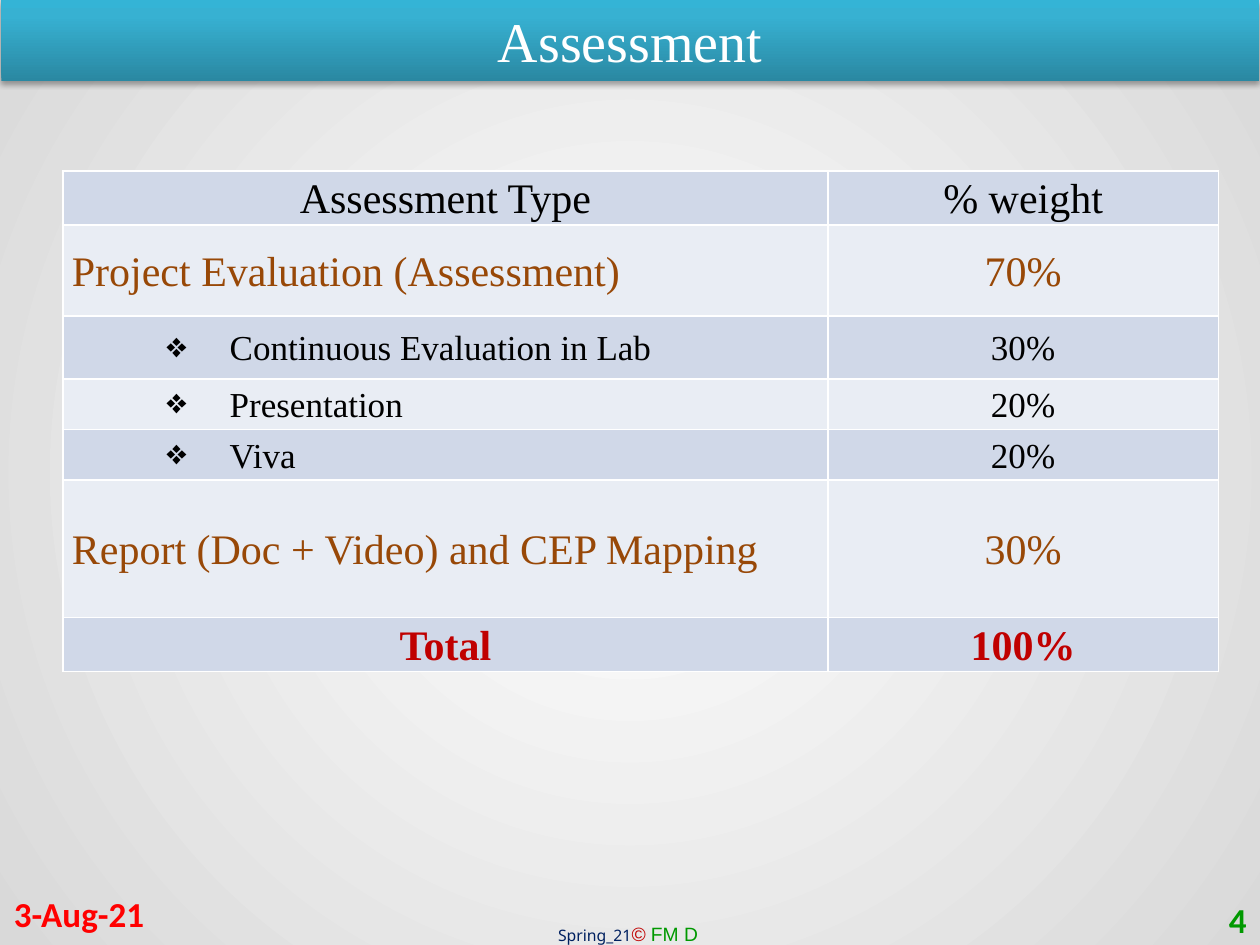
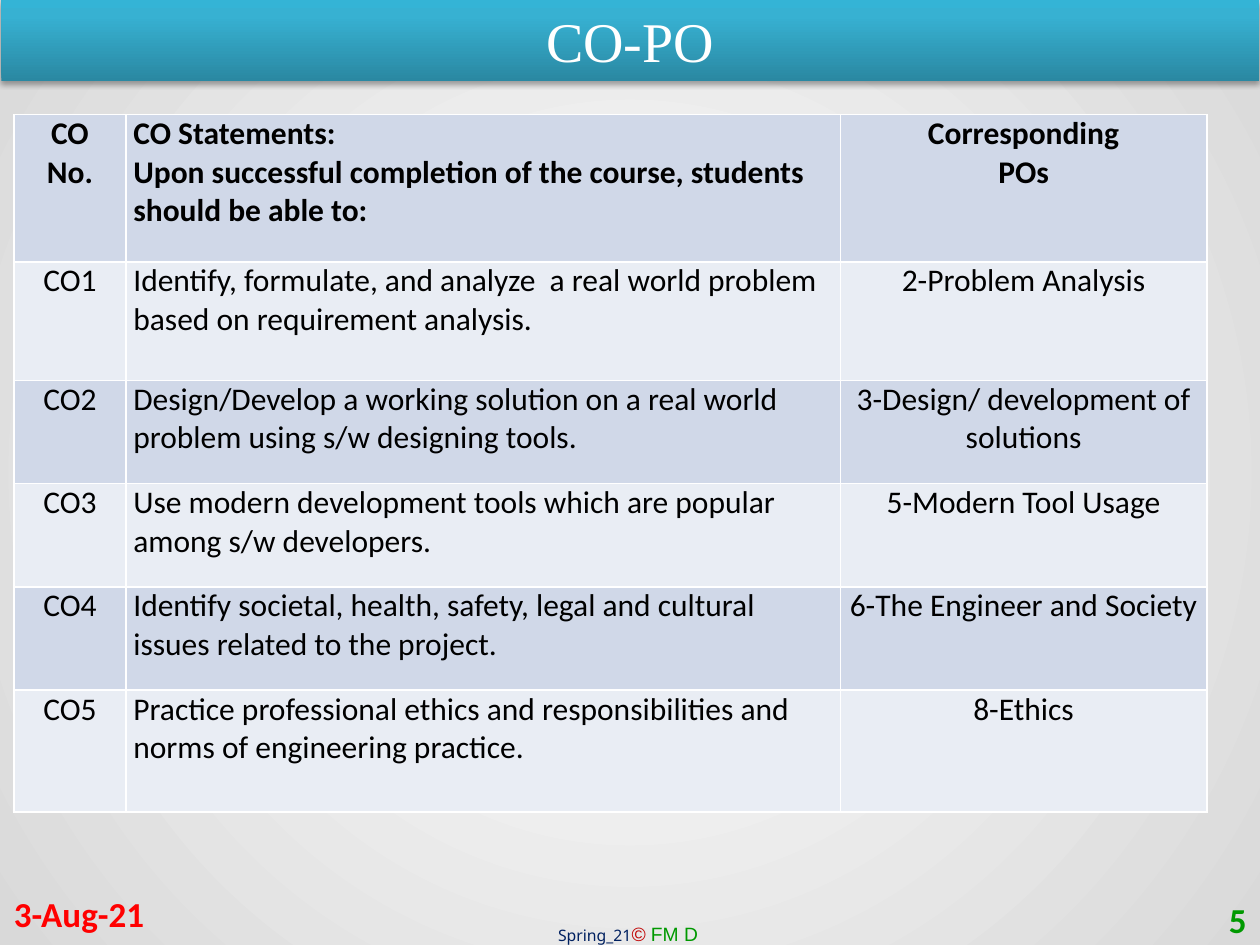
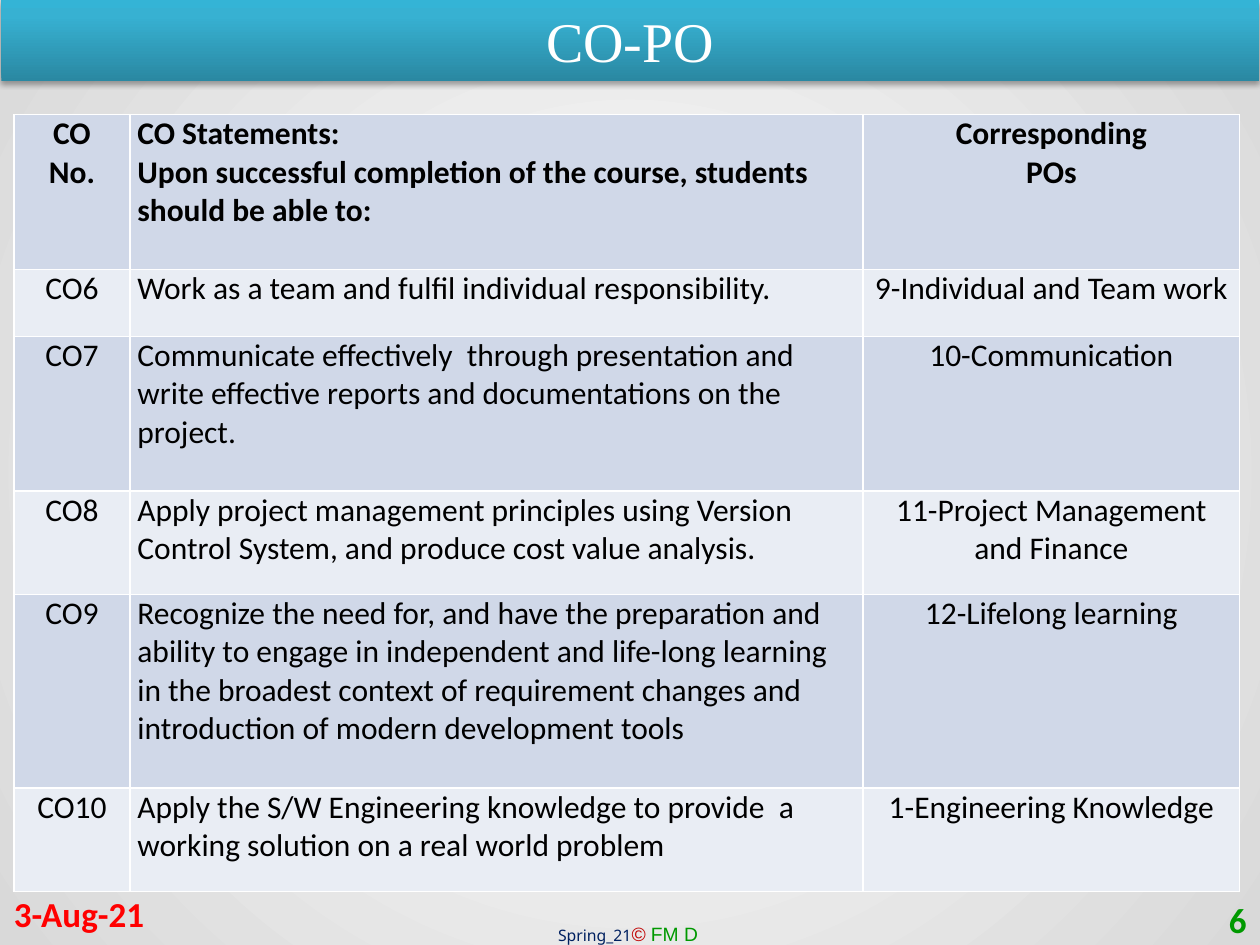
from dataclasses import dataclass, replace

from lxml import etree
from pptx import Presentation
from pptx.dml.color import RGBColor
from pptx.enum.shapes import MSO_SHAPE
from pptx.enum.text import MSO_ANCHOR, PP_ALIGN
from pptx.oxml import parse_xml
from pptx.oxml.ns import nsdecls, qn
from pptx.util import Cm, Pt

LEFT, CENTER, RIGHT = PP_ALIGN.LEFT, PP_ALIGN.CENTER, PP_ALIGN.RIGHT
TOP, MIDDLE = MSO_ANCHOR.TOP, MSO_ANCHOR.MIDDLE
RECTANGLE = MSO_SHAPE.RECTANGLE

WHITE = RGBColor(0xFF, 0xFF, 0xFF)
BLACK = RGBColor(0x00, 0x00, 0x00)
EDGE_GRAY = RGBColor(0xD9, 0xD9, 0xD9)
BAND_DARK = RGBColor(0x2A, 0x88, 0xA2)
BAND_MID = RGBColor(0x37, 0xB1, 0xD2)
BAND_LIGHT = RGBColor(0x34, 0xB4, 0xD6)
ROW_BLUE = RGBColor(0xD0, 0xD8, 0xE8)
ROW_PALE = RGBColor(0xE9, 0xED, 0xF4)
NAVY = RGBColor(0x00, 0x20, 0x60)
DARK_RED = RGBColor(0xC0, 0x00, 0x00)
RED = RGBColor(0xFF, 0x00, 0x00)
GREEN = RGBColor(0x00, 0x99, 0x00)
BROWN = RGBColor(0x98, 0x48, 0x07)

RADIAL = '<a:path %s path="circle"><a:fillToRect l="50000" t="50000" r="50000" b="50000"/></a:path>'
UPWARD = '<a:lin %s ang="16200000" scaled="0"/>'
BAND_SHADOW = ('<a:outerShdw %s blurRad="40000" dist="23000" dir="5400000" rotWithShape="0">'
               '<a:srgbClr val="000000"><a:alpha val="35000"/></a:srgbClr></a:outerShdw>')


@dataclass(frozen=True)
class TextStyle:
    font: str
    size: int
    color: RGBColor
    bold: bool = False
    italic: bool = False


@dataclass(frozen=True)
class Row:
    height: float
    style: TextStyle
    texts: tuple
    aligns: tuple
    bullet: str = ""


TITLE = TextStyle("Times New Roman", 32, WHITE)
DATE = TextStyle("Calibri", 20, RED, bold=True)
NUMBER = replace(DATE, color=GREEN)
TERM = TextStyle("Noto Sans", 9, NAVY)
COPYRIGHT = TextStyle("Arial", 11, DARK_RED, italic=True)
OWNER = TextStyle("Arial", 11, GREEN)
WEIGHT_HEAD = TextStyle("Times New Roman", 24, BLACK)
WEIGHT_GROUP = replace(WEIGHT_HEAD, color=BROWN)
WEIGHT_ITEM = replace(WEIGHT_HEAD, size=20)
WEIGHT_TOTAL = replace(WEIGHT_HEAD, color=DARK_RED, bold=True)
OUTCOME = TextStyle("Calibri", 18, BLACK)
OUTCOME_HEAD = replace(OUTCOME, bold=True)


def set_gradient(fill, owner, stops, direction):
    """Fill with (percent, colour) stops; owner is the element that holds the fill."""
    fill.gradient()
    gradient = owner.find(".//" + qn("a:gradFill"))
    for child in list(gradient):
        gradient.remove(child)
    stop_list = etree.SubElement(gradient, qn("a:gsLst"))
    for percent, color in stops:
        stop = etree.SubElement(stop_list, qn("a:gs"), pos=str(percent * 1000))
        etree.SubElement(stop, qn("a:srgbClr"), val=str(color))
    gradient.append(parse_xml(direction % nsdecls("a")))


def add_run(paragraph, text, style):
    run = paragraph.add_run()
    run.text = text
    font = run.font
    font.name, font.size = style.font, Pt(style.size)
    font.bold, font.italic = style.bold, style.italic
    font.color.rgb = style.color


def add_bullet(paragraph, mark):
    properties = paragraph._p.get_or_add_pPr()
    properties.set("marL", str(Cm(3.18)))
    properties.set("indent", str(-Cm(1.27)))
    etree.SubElement(properties, qn("a:buChar"), char=mark)


def add_borders(cell):
    properties = cell._tc.get_or_add_tcPr()
    for side in "LRTB":
        line = etree.SubElement(properties, qn("a:ln" + side), w=str(Pt(1)))
        solid = etree.SubElement(line, qn("a:solidFill"))
        etree.SubElement(solid, qn("a:srgbClr"), val=str(WHITE))


class Deck:
    """Holds the presentation, its shared look and the current slide."""

    def __init__(self):
        self.presentation = Presentation()
        self.presentation.slide_width = Cm(25.4)
        self.presentation.slide_height = Cm(19.05)
        master = self.presentation.slide_master
        set_gradient(master.background.fill, master.element,
                     [(0, WHITE), (100, EDGE_GRAY)], RADIAL)

    def start_slide(self, title, number):
        self.slide = self.presentation.slides.add_slide(self.presentation.slide_layouts[6])
        self.text(11, 18.47, 3.45, 0.74,
                  [("Spring_21", TERM), ("© ", COPYRIGHT), ("FM D", OWNER)],
                  anchor=TOP, wrap=False)
        self.title_band(title)
        self.text(0.03, 17.91, 5.92, 1.02, [("3-Aug-21", DATE)])
        self.text(19.46, 18.03, 5.92, 1.02, [(str(number), NUMBER)], align=RIGHT)

    def title_band(self, title):
        band = self.slide.shapes.add_shape(RECTANGLE, Cm(0.03), 0, Cm(25.35), Cm(1.63))
        set_gradient(band.fill, band._element.spPr,
                     [(0, BAND_DARK), (80, BAND_MID), (100, BAND_LIGHT)], UPWARD)
        band.line.fill.background()
        band.shadow.inherit = False
        effects = band._element.spPr.find(qn("a:effectLst"))
        effects.append(parse_xml(BAND_SHADOW % nsdecls("a")))
        band.text_frame.vertical_anchor = TOP
        heading = band.text_frame.paragraphs[0]
        heading.alignment = CENTER
        add_run(heading, title, TITLE)

    def text(self, left, top, width, height, runs, align=LEFT, anchor=MIDDLE, wrap=True):
        frame = self.slide.shapes.add_textbox(
            Cm(left), Cm(top), Cm(width), Cm(height)).text_frame
        frame.word_wrap = wrap
        frame.vertical_anchor = anchor
        paragraph = frame.paragraphs[0]
        paragraph.alignment = align
        for content, style in runs:
            add_run(paragraph, content, style)

    def table(self, left, top, widths, rows, side_margin, anchor=TOP, line_spacing=1.0):
        table = self.slide.shapes.add_table(
            len(rows), len(widths), Cm(left), Cm(top),
            Cm(sum(widths)), Cm(sum(row.height for row in rows))).table
        table.first_row = table.horz_banding = False
        for column, width in zip(table.columns, widths):
            column.width = Cm(width)
        for index, row in enumerate(rows):
            table.rows[index].height = Cm(row.height)
            for column, (content, align) in enumerate(zip(row.texts, row.aligns)):
                cell = table.cell(index, column)
                add_borders(cell)
                cell.fill.solid()
                cell.fill.fore_color.rgb = ROW_PALE if index % 2 else ROW_BLUE
                cell.margin_left = cell.margin_right = Cm(side_margin)
                cell.margin_top = cell.margin_bottom = 0
                cell.vertical_anchor = anchor
                frame = cell.text_frame
                for position, line in enumerate(content.split("\n")):
                    paragraph = frame.add_paragraph() if position else frame.paragraphs[0]
                    if row.bullet and column == 0:
                        add_bullet(paragraph, row.bullet)
                    paragraph.alignment = align
                    paragraph.line_spacing = line_spacing
                    add_run(paragraph, line, row.style)

    def outcome_table(self, widths, head_height, outcomes):
        """Table of (height, number, statement, programme outcome) rows below the shared header."""
        aligns = (CENTER, LEFT, CENTER)
        head = ("CO\nNo.",
                "CO Statements:\nUpon successful completion of the course, "
                "students should be able to:",
                "Corresponding\nPOs")
        rows = [Row(head_height, OUTCOME_HEAD, head, aligns)]
        rows += [Row(height, OUTCOME, tuple(texts), aligns) for height, *texts in outcomes]
        self.table(0.28, 2.31, widths, rows, side_margin=0.15)


def main():
    deck = Deck()

    deck.start_slide("Assessment", 4)
    centered, leading = (CENTER, CENTER), (LEFT, CENTER)
    weights = [
        Row(1.02, WEIGHT_HEAD, ("Assessment Type", "% weight"), centered),
        Row(1.83, WEIGHT_GROUP, ("Project Evaluation (Assessment)", "70%"), leading),
        Row(1.27, WEIGHT_ITEM, ("Continuous Evaluation in Lab", "30%"), leading, "❖"),
        Row(1.02, WEIGHT_ITEM, ("Presentation", "20%"), leading, "❖"),
        Row(1.02, WEIGHT_ITEM, ("Viva", "20%"), leading, "❖"),
        Row(2.77, WEIGHT_GROUP, ("Report (Doc + Video) and CEP Mapping", "30%"), leading),
        Row(1.02, WEIGHT_TOTAL, ("Total", "100%"), centered),
    ]
    deck.table(1.27, 3.45, (15.42, 7.87), weights, side_margin=0.18,
               anchor=MIDDLE, line_spacing=1.07)

    deck.start_slide("CO-PO", 5)
    deck.outcome_table((2.26, 14.4, 7.39), 2.97, [
        (2.39, "CO1", "Identify, formulate, and analyze  a real world problem based on "
         "requirement analysis.", "2-Problem Analysis"),
        (2.08, "CO2", "Design/Develop a working solution on a real world problem using "
         "s/w designing tools.", "3-Design/ development of solutions"),
        (2.08, "CO3", "Use modern development tools which are popular among s/w developers.",
         "5-Modern Tool Usage"),
        (2.08, "CO4", "Identify societal, health, safety, legal and cultural issues related "
         "to the project.", "6-The Engineer and Society"),
        (2.46, "CO5", "Practice professional ethics and responsibilities and norms of "
         "engineering practice.", "8-Ethics"),
    ])

    deck.start_slide("CO-PO", 6)
    deck.outcome_table((2.34, 14.78, 7.59), 3.12, [
        (1.35, "CO6", "Work as a team and fulfil individual responsibility.",
         "9-Individual and Team work"),
        (3.12, "CO7", "Communicate effectively  through presentation and write effective "
         "reports and documentations on the project.", "10-Communication"),
        (2.08, "CO8", "Apply project management principles using Version Control System, "
         "and produce cost value analysis.", "11-Project Management and Finance"),
        (3.91, "CO9", "Recognize the need for, and have the preparation and ability to "
         "engage in independent and life-long learning in the broadest context of "
         "requirement changes and introduction of modern development tools",
         "12-Lifelong learning"),
        (2.08, "CO10", "Apply the S/W Engineering knowledge to provide  a working solution "
         "on a real world problem", "1-Engineering Knowledge"),
    ])

    deck.presentation.save("out.pptx")


if __name__ == "__main__":
    main()
